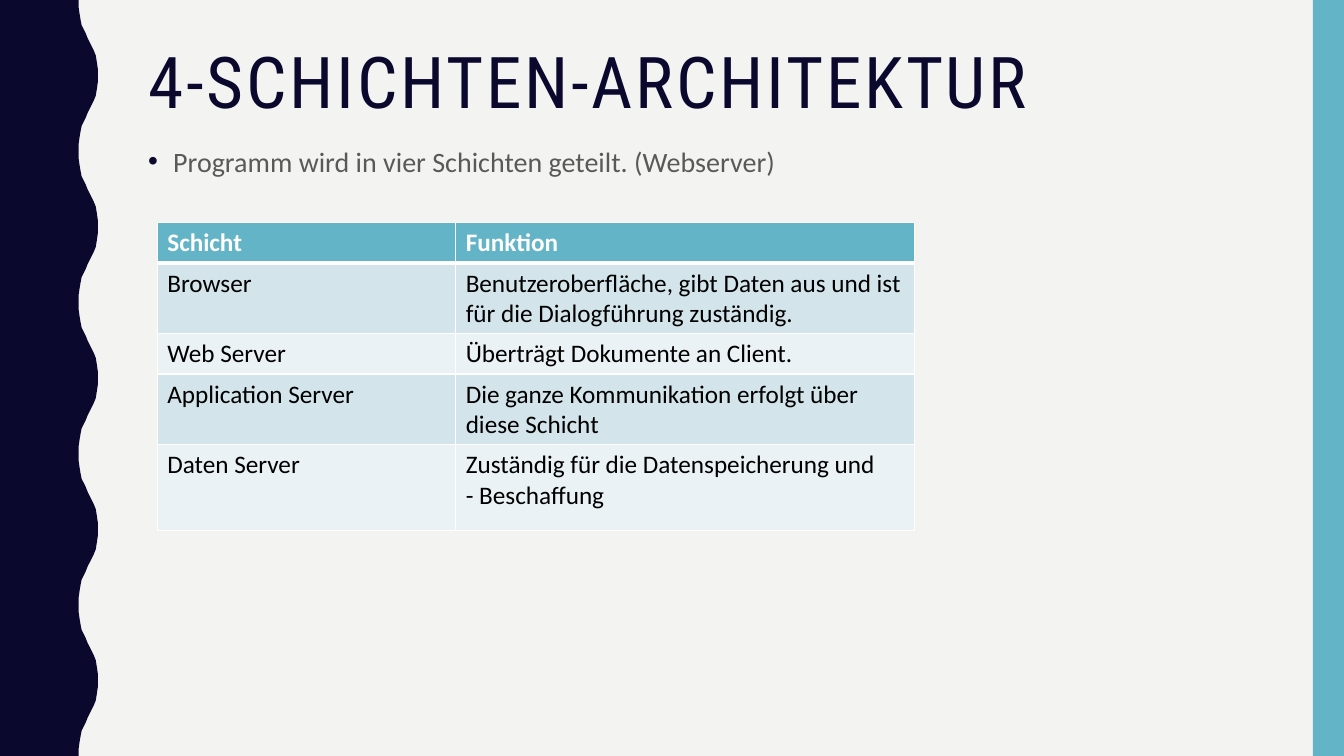
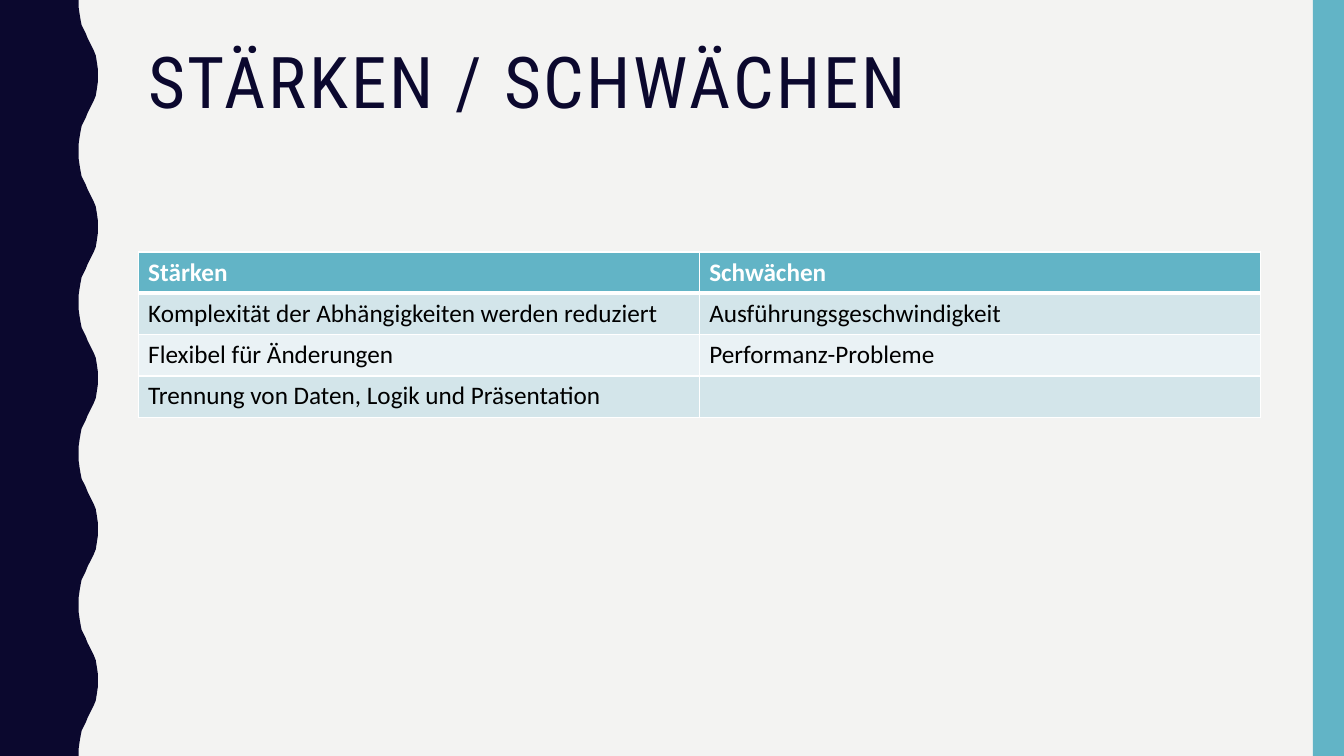
import lxml.etree
import pptx
import pptx.dml.color
import pptx.enum.shapes
import pptx.enum.text
import pptx.oxml.ns
import pptx.util

Inches = pptx.util.Inches
Pt = pptx.util.Pt
qn = pptx.oxml.ns.qn

# Shared style
NAVY, TEAL, PAPER = "0B082E", "62B4C6", "F3F3F2"
BAND_DARK, BAND_LIGHT = "D3E5EA", "EAF2F5"
WHITE, BLACK, GREY = "FFFFFF", "000000", "595959"
TITLE_FONT, BODY_FONT = "Roboto Condensed", "Calibri"
SLIDE_W, SLIDE_H = 13.33, 7.5
LEFT, CONTENT_W = 1.37, 11.13

# One half of a wave, from trough to crest; the other half mirrors it
WAVE_PERIOD = 1.5
HALF_WAVE = [(0.78, 0), (0.78, 0.07), (0.79, 0.14), (0.8, 0.2), (0.81, 0.25),
             (0.83, 0.29), (0.85, 0.33), (0.87, 0.38), (0.89, 0.42),
             (0.91, 0.46), (0.93, 0.5), (0.95, 0.55), (0.96, 0.61),
             (0.97, 0.68), (0.97, 0.75)]


def rgb(color):
    return pptx.dml.color.RGBColor.from_string(color)


def paint(sp, color):
    sp.shadow.inherit = False
    sp.fill.solid()
    sp.fill.fore_color.rgb = rgb(color)
    sp.line.fill.background()


def style_paragraph(p, font, size, color, bold=False):
    for r in p.runs:
        r.font.name = font
        r.font.size = Pt(size)
        r.font.bold = bold
        r.font.color.rgb = rgb(color)


def add_wave_band(slide):
    wave = HALF_WAVE + [(x, WAVE_PERIOD - y) for x, y in HALF_WAVE[-2::-1]]
    edge = [(x, y + i * WAVE_PERIOD)
            for i in range(int(SLIDE_H / WAVE_PERIOD)) for x, y in wave]
    points = [(Inches(x), Inches(y)) for x, y in edge + [(0, SLIDE_H)]]
    builder = slide.shapes.build_freeform(0, 0)
    builder.add_line_segments(points, close=True)
    paint(builder.convert_to_shape(), NAVY)


def add_side_band(slide):
    sp = slide.shapes.add_shape(
        pptx.enum.shapes.MSO_SHAPE.RECTANGLE,
        Inches(13.02), 0, Inches(0.31), Inches(SLIDE_H))
    paint(sp, TEAL)


def add_text(slide, top, height, text, font, size, color, line_spacing):
    sp = slide.shapes.add_textbox(
        Inches(LEFT), Inches(top), Inches(CONTENT_W), Inches(height))
    tf = sp.text_frame
    tf.word_wrap = True
    tf.vertical_anchor = pptx.enum.text.MSO_ANCHOR.TOP
    tf.text = text
    p = tf.paragraphs[0]
    p.line_spacing = line_spacing
    style_paragraph(p, font, size, color)
    return p


def add_title(slide, text):
    p = add_text(slide, 0.42, 1.63, text, TITLE_FONT, 51, NAVY, 0.9)
    p.runs[0].font._element.set("spc", "200")


def add_bullet(slide, text):
    p = add_text(slide, 1.35, 3.93, text, BODY_FONT, 20, GREY, 1.1)
    p.space_before = Pt(7)
    pPr = p._p.get_or_add_pPr()
    pPr.set("marL", str(Inches(0.25)))
    pPr.set("indent", str(-Inches(0.25)))
    bullet_color = lxml.etree.SubElement(pPr, qn("a:buClr"))
    lxml.etree.SubElement(bullet_color, qn("a:srgbClr"), val=NAVY)
    lxml.etree.SubElement(pPr, qn("a:buFont"), typeface="Arial")
    lxml.etree.SubElement(pPr, qn("a:buChar"), char="•")


def set_borders(cell, top, bottom):
    tcPr = cell._tc.get_or_add_tcPr()
    for side, width in (("L", 1), ("R", 1), ("T", top), ("B", bottom)):
        ln = lxml.etree.SubElement(tcPr, qn("a:ln" + side), w=str(Pt(width)))
        fill = lxml.etree.SubElement(ln, qn("a:solidFill"))
        lxml.etree.SubElement(fill, qn("a:srgbClr"), val=WHITE)


def style_cell(cell, text, row):
    header = row == 0
    # The rule under the header is thicker than the others
    set_borders(cell, 3 if row == 1 else 1, 3 if header else 1)
    cell.fill.solid()
    band = BAND_DARK if row % 2 else BAND_LIGHT
    cell.fill.fore_color.rgb = rgb(TEAL if header else band)
    cell.text_frame.text = text
    for p in cell.text_frame.paragraphs:
        style_paragraph(p, BODY_FONT, 18, WHITE if header else BLACK, header)


def add_grid(slide, left, top, col_widths, row_heights, rows):
    table = slide.shapes.add_table(
        len(rows), len(col_widths), Inches(left), Inches(top),
        Inches(sum(col_widths)), Inches(sum(row_heights))).table
    table.horz_banding = False
    for column, width in zip(table.columns, col_widths):
        column.width = Inches(width)
    for i, (height, texts) in enumerate(zip(row_heights, rows)):
        table.rows[i].height = Inches(height)
        for j, text in enumerate(texts):
            style_cell(table.cell(i, j), text, i)


def new_slide(prs, title):
    slide = prs.slides.add_slide(prs.slide_layouts[6])
    slide.background.fill.solid()
    slide.background.fill.fore_color.rgb = rgb(PAPER)
    add_wave_band(slide)
    add_side_band(slide)
    add_title(slide, title)
    return slide


def main():
    prs = pptx.Presentation()
    prs.slide_width = Inches(SLIDE_W)
    prs.slide_height = Inches(SLIDE_H)

    # Four layers
    slide = new_slide(prs, "4-SCHICHTEN-ARCHITEKTUR")
    add_bullet(slide, "Programm wird in vier Schichten geteilt. (Webserver)")
    add_grid(slide, 1.56, 2.21, [2.96, 4.55], [0.37, 0.65, 0.39, 0.65, 0.85], [
        ("Schicht", "Funktion"),
        ("Browser", "Benutzeroberfläche, gibt Daten aus und ist "
                    "für die Dialogführung zuständig."),
        ("Web Server", "Überträgt Dokumente an Client."),
        ("Application Server",
         "Die ganze Kommunikation erfolgt über diese Schicht"),
        ("Daten Server",
         "Zuständig für die Datenspeicherung und\n- Beschaffung"),
    ])

    # Strengths and weaknesses
    slide = new_slide(prs, "STÄRKEN / SCHWÄCHEN")
    add_grid(slide, LEFT, 2.5, [CONTENT_W / 2] * 2, [0.41] * 4, [
        ("Stärken", "Schwächen"),
        ("Komplexität der Abhängigkeiten werden reduziert",
         "Ausführungsgeschwindigkeit"),
        ("Flexibel für Änderungen", "Performanz-Probleme"),
        ("Trennung von Daten, Logik und Präsentation", ""),
    ])

    prs.save("out.pptx")


main()
